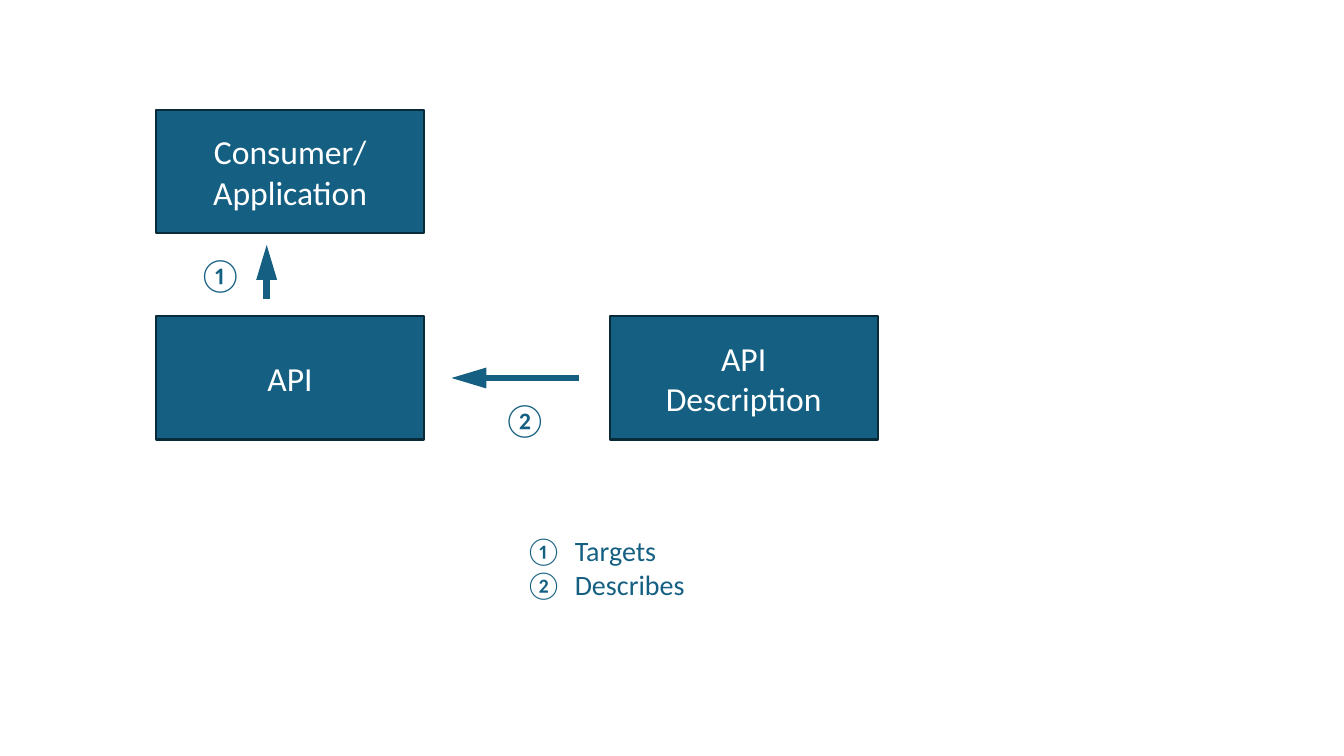
from lxml import etree
from pptx import Presentation
from pptx.dml.color import RGBColor
from pptx.enum.shapes import MSO_CONNECTOR, MSO_SHAPE
from pptx.enum.text import MSO_ANCHOR, MSO_AUTO_SIZE, PP_ALIGN
from pptx.oxml.ns import qn
from pptx.util import Pt

RECT = MSO_SHAPE.RECTANGLE
LINE = MSO_CONNECTOR.STRAIGHT
MIDDLE = MSO_ANCHOR.MIDDLE
GROW = MSO_AUTO_SIZE.SHAPE_TO_FIT_TEXT
CENTER = PP_ALIGN.CENTER
LEFT = PP_ALIGN.LEFT


def color(code):
    return RGBColor.from_string(code)


class Board:
    font = "Calibri"
    blue = "156082"
    edge = "092A39"
    white = "FFFFFF"

    def __init__(self, slide):
        self.slide = slide

    def text(self, frame, lines, size, ink, align, hang=0):
        frame.word_wrap = True
        for i, line in enumerate(lines):
            para = frame.paragraphs[0] if i == 0 else frame.add_paragraph()
            para.alignment = align
            if hang:
                props = para._p.get_or_add_pPr()
                props.set("marL", str(Pt(hang)))
                props.set("indent", str(-Pt(hang)))
                tabs = etree.SubElement(props, qn("a:tabLst"))
                etree.SubElement(tabs, qn("a:tab"), pos=str(Pt(hang)), algn="l")
            run = para.add_run()
            run.text = line
            run.font.name = self.font
            run.font.size = Pt(size)
            run.font.color.rgb = color(ink)

    def box(self, left, top, width, height, lines):
        shape = self.slide.shapes.add_shape(
            RECT, Pt(left), Pt(top), Pt(width), Pt(height))
        shape.shadow.inherit = False
        shape.fill.solid()
        shape.fill.fore_color.rgb = color(self.blue)
        shape.line.color.rgb = color(self.edge)
        shape.line.width = Pt(1.5)
        shape.text_frame.vertical_anchor = MIDDLE
        self.text(shape.text_frame, lines, 24, self.white, CENTER)

    def label(self, left, top, width, height, lines, size=24, hang=0):
        shape = self.slide.shapes.add_textbox(
            Pt(left), Pt(top), Pt(width), Pt(height))
        shape.text_frame.auto_size = GROW
        self.text(shape.text_frame, lines, size, self.blue, LEFT, hang)

    def arrow(self, x1, y1, x2, y2):
        link = self.slide.shapes.add_connector(
            LINE, Pt(x1), Pt(y1), Pt(x2), Pt(y2))
        link.line.color.rgb = color(self.blue)
        link.line.width = Pt(5)
        props = link._element.spPr
        etree.SubElement(props.get_or_add_ln(), qn("a:tailEnd"),
                         type="triangle", w="med", len="lg")
        etree.SubElement(props, qn("a:effectLst"))


def main():
    deck = Presentation()
    deck.slide_width = Pt(960)
    deck.slide_height = Pt(540)
    board = Board(deck.slides.add_slide(deck.slide_layouts[6]))

    wide, high = 191.5, 88
    near, far = 111.5, 435.5
    upper, lower = 78.5, 226
    for left, top, lines in (
        (near, upper, ["Consumer/", "Application"]),
        (near, lower, ["API"]),
        (far, lower, ["API", "Description"]),
    ):
        board.box(left, top, wide, high, lines)

    board.arrow(413.5, lower + high / 2, 322.5, lower + high / 2)
    board.arrow(190.5, 213.5, 190.5, 175)

    board.label(134.5, 178, 42.5, 36, ["①"])
    board.label(352, 281.5, 37.5, 36, ["②"])
    board.label(368, 377.5, 443.5, 55.5,
                ["①\tTargets", "②\tDescribes"], 20, 35.5)

    deck.save("out.pptx")


if __name__ == "__main__":
    main()
